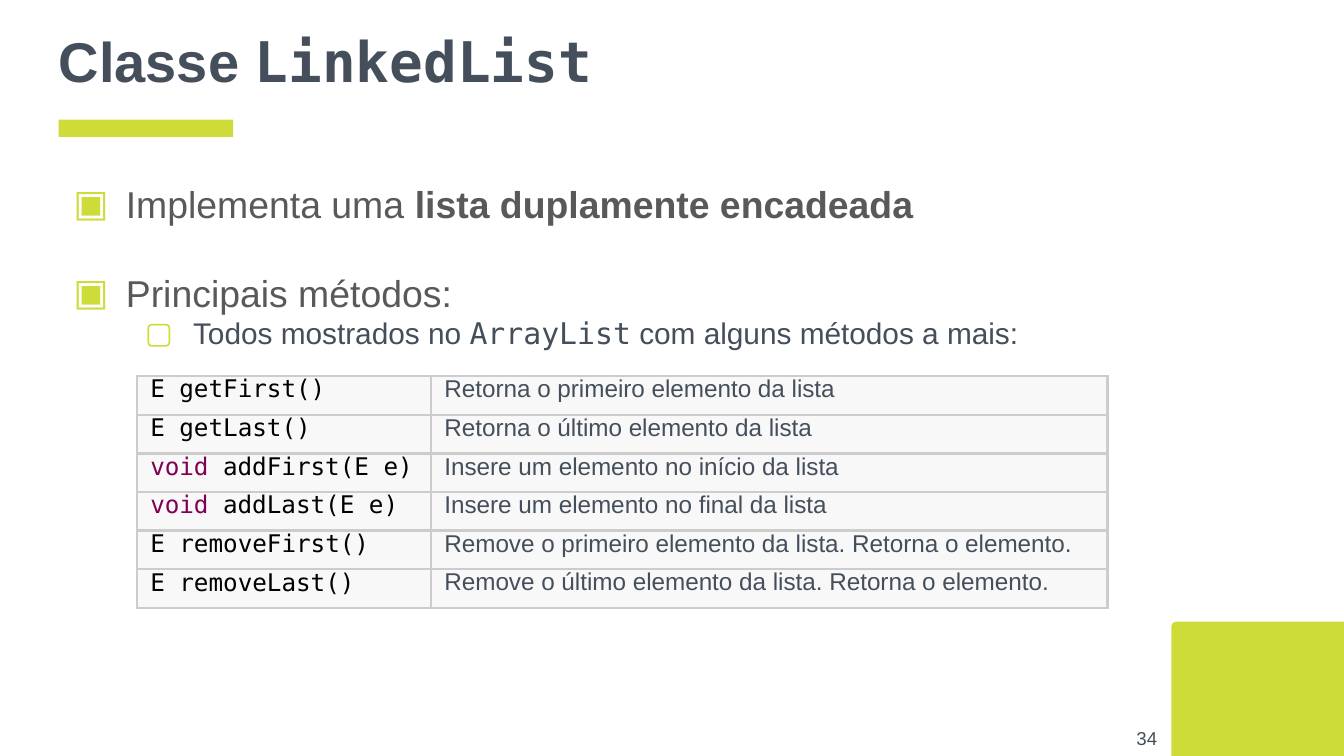
import pptx
import pptx.dml.color
import pptx.enum.shapes
import pptx.enum.text
import pptx.oxml
import pptx.oxml.ns
import pptx.util

Cm = pptx.util.Cm
Pt = pptx.util.Pt
ANCHOR = pptx.enum.text.MSO_ANCHOR
ALIGN = pptx.enum.text.PP_ALIGN

COLORS = {
    "accent": "CDDC39",
    "heading": "454F5B",
    "body": "595959",
    "code": "000000",
    "keyword": "7F0055",
    "cell": "F8F8F8",
    "border": "CCCCCC",
}
SANS = "Arial"
MONO = "DejaVu Sans Mono"
INSET = 0.25

METHODS = [
    ("E", " getFirst()", "Retorna o primeiro elemento da lista"),
    ("E", " getLast()", "Retorna o último elemento da lista"),
    ("void", " addFirst(E e)", "Insere um elemento no início da lista"),
    ("void", " addLast(E e)", "Insere um elemento no final da lista"),
    ("E", " removeFirst()", "Remove o primeiro elemento da lista. Retorna o elemento."),
    ("E", " removeLast()", "Remove o último elemento da lista. Retorna o elemento."),
]


def rgb(name):
    """Return the named colour."""
    return pptx.dml.color.RGBColor.from_string(COLORS[name])


def add_run(paragraph, text, size, color, font=SANS, bold=False):
    """Append a formatted run to a paragraph."""
    run = paragraph.add_run()
    run.text = text
    run.font.size = Pt(size)
    run.font.name = font
    run.font.bold = bold
    run.font.color.rgb = rgb(color)


def prepare_frame(text_frame, anchor):
    """Set wrapping, insets and anchor of a text frame."""
    text_frame.word_wrap = True
    text_frame.auto_size = pptx.enum.text.MSO_AUTO_SIZE.NONE
    text_frame.vertical_anchor = anchor
    text_frame.margin_left = text_frame.margin_right = Cm(INSET)
    text_frame.margin_top = text_frame.margin_bottom = Cm(INSET)


def add_block(slide, kind, left, top, width, height):
    """Add a plain accent-coloured shape."""
    shape = slide.shapes.add_shape(kind, Cm(left), Cm(top), Cm(width), Cm(height))
    shape.shadow.inherit = False
    shape.fill.solid()
    shape.fill.fore_color.rgb = rgb("accent")
    shape.line.fill.background()
    return shape


def add_corner(slide, left, top, width, height):
    """Place the corner block, turned so its round corner is at top left."""
    shift = (width - height) / 2
    kind = pptx.enum.shapes.MSO_SHAPE.ROUND_1_RECTANGLE
    shape = add_block(slide, kind, left + shift, top - shift, height, width)
    shape.adjustments[0] = 0.034
    shape.rotation = 270


def add_heading(slide, left, top, width, height):
    """Place the title with the accent bar under it."""
    rectangle = pptx.enum.shapes.MSO_SHAPE.RECTANGLE
    add_block(slide, rectangle, left + INSET, top + height, 3.3, 0.33)
    title = slide.shapes.title
    title.left, title.top = Cm(left), Cm(top)
    title.width, title.height = Cm(width), Cm(height)
    prepare_frame(title.text_frame, ANCHOR.MIDDLE)
    paragraph = title.text_frame.paragraphs[0]
    paragraph.alignment = ALIGN.LEFT
    add_run(paragraph, "Classe ", 30, "heading", bold=True)
    add_run(paragraph, "LinkedList", 30, "heading", MONO, True)


def set_bullet(paragraph, character, margin, hanging):
    """Give a paragraph an accent bullet with a hanging indent."""
    properties = paragraph._p.get_or_add_pPr()
    properties.set("marL", str(Cm(margin)))
    properties.set("indent", str(-Cm(hanging)))
    namespace = pptx.oxml.ns.nsdecls("a")
    for xml in (
        f'<a:buClr {namespace}><a:srgbClr val="{COLORS["accent"]}"/></a:buClr>',
        f'<a:buFont {namespace} typeface="{SANS}"/>',
        f'<a:buChar {namespace} char="{character}"/>',
    ):
        properties.append(pptx.oxml.parse_xml(xml))


def add_topics(slide, left, top, width, height):
    """Place the bulleted topics."""
    box = slide.shapes.add_textbox(Cm(left), Cm(top), Cm(width), Cm(height))
    text_frame = box.text_frame
    prepare_frame(text_frame, ANCHOR.TOP)

    definition = text_frame.paragraphs[0]
    methods = text_frame.add_paragraph()
    for paragraph in (definition, methods):
        set_bullet(paragraph, "▣", 1.27, 0.99)
        paragraph.line_spacing = 1.15
    methods.space_before = Pt(20)
    add_run(definition, "Implementa uma ", 20, "body")
    add_run(definition, "lista duplamente encadeada", 20, "body", bold=True)
    add_run(methods, "Principais métodos:", 20, "body")

    detail = text_frame.add_paragraph()
    detail.level = 1
    set_bullet(detail, "▢", 2.54, 0.91)
    add_run(detail, "Todos mostrados no ", 16, "heading")
    add_run(detail, "ArrayList", 16, "heading", MONO)
    add_run(detail, " com alguns métodos a mais:", 16, "heading")


def format_cell(cell):
    """Set borders, fill and spacing of a cell and return its paragraph."""
    properties = cell._tc.get_or_add_tcPr()
    namespace = pptx.oxml.ns.nsdecls("a")
    for side in "LRTB":
        properties.append(pptx.oxml.parse_xml(
            f'<a:ln{side} {namespace} w="{Pt(1.5)}"><a:solidFill>'
            f'<a:srgbClr val="{COLORS["border"]}"/></a:solidFill></a:ln{side}>'
        ))
    cell.fill.solid()
    cell.fill.fore_color.rgb = rgb("cell")
    cell.vertical_anchor = ANCHOR.MIDDLE
    cell.margin_left = cell.margin_right = Cm(INSET)
    cell.margin_top, cell.margin_bottom = Cm(0.15), Cm(0.08)
    paragraph = cell.text_frame.paragraphs[0]
    paragraph.line_spacing = 0.07
    paragraph.space_after = Pt(2)
    return paragraph


def add_method_table(slide, left, top, width, height):
    """Place the table of methods and their descriptions."""
    frame = slide.shapes.add_table(
        len(METHODS), 2, Cm(left), Cm(top), Cm(width), Cm(height)
    )
    table = frame.table
    table.first_row = table.horz_banding = False
    signature_width = 5.56
    table.columns[0].width = Cm(signature_width)
    table.columns[1].width = Cm(width - signature_width)
    for row, (result, call, description) in zip(table.rows, METHODS):
        row.height = Cm(height / len(METHODS))
        signature = format_cell(row.cells[0])
        if result == "void":
            add_run(signature, result, 13, "keyword", MONO)
            add_run(signature, call, 13, "code", MONO)
        else:
            add_run(signature, result + call, 13, "code", MONO)
        add_run(format_cell(row.cells[1]), description, 13, "heading")


def add_page_number(slide, left, top, width, height):
    """Place the page number."""
    box = slide.shapes.add_textbox(Cm(left), Cm(top), Cm(width), Cm(height))
    prepare_frame(box.text_frame, ANCHOR.MIDDLE)
    paragraph = box.text_frame.paragraphs[0]
    paragraph.alignment = ALIGN.RIGHT
    add_run(paragraph, "34", 10, "heading")


def main():
    """Build and save the presentation."""
    presentation = pptx.Presentation()
    presentation.slide_width, presentation.slide_height = Cm(25.4), Cm(14.29)
    slide = presentation.slides.add_slide(presentation.slide_layouts[5])
    add_corner(slide, 22.14, 11.75, 3.3, 2.57)
    add_heading(slide, 0.86, 0, 23.67, 2.26)
    add_topics(slide, 0.86, 3.05, 23.67, 3.71)
    add_page_number(slide, 20.6, 13.41, 1.52, 1.09)
    add_method_table(slide, 2.59, 7.11, 18.34, 4.38)
    presentation.save("out.pptx")


if __name__ == "__main__":
    main()
